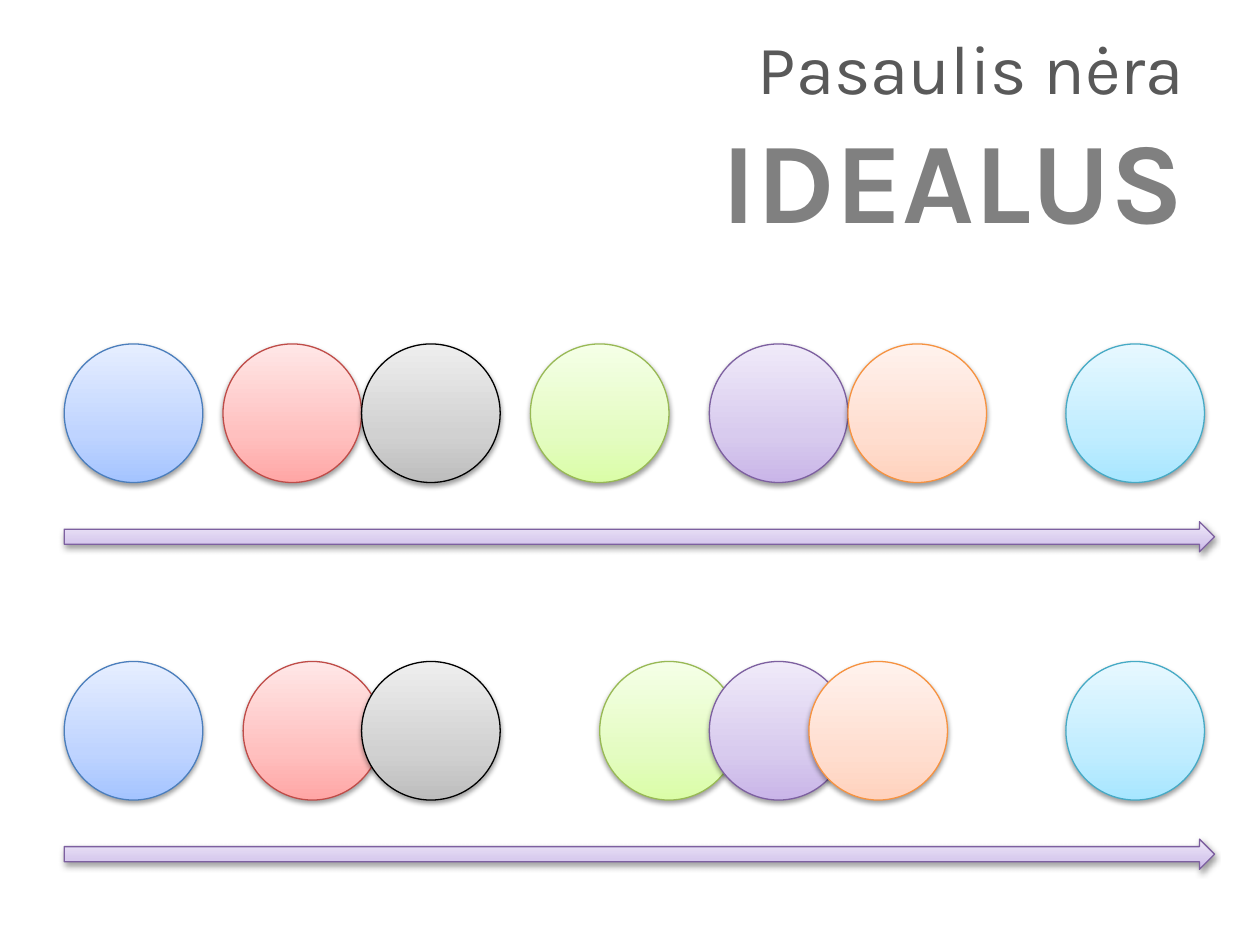
import copy

import pptx
import pptx.dml.color
import pptx.enum.shapes
import pptx.enum.text
import pptx.oxml
import pptx.oxml.ns
import pptx.util
from pptx.util import Inches

FONT = "Karla"
TEXT_COLORS = {"lead": "595959", "emphasis": "808080"}

# Per color: outline, then gradient from bottom to top
COLORS = {
    "blue": ("4B7EBC", "A4C4FF", "BFD4FF", "E6EEFF"),
    "red": ("BF4C48", "FFA6A5", "FFC0BF", "FFE7E7"),
    "black": ("000000", "BDBDBD", "D1D1D1", "EEEEEE"),
    "green": ("98B955", "DAFDA7", "E4FCC2", "F5FFE7"),
    "purple": ("7D60A0", "C9B5E8", "D8CBEE", "F0EAF9"),
    "orange": ("F69240", "FFD2BD", "FFDED0", "FFF2ED"),
    "cyan": ("46AAC5", "A7E6FF", "C1EDFF", "E7F8FF"),
}
GRADIENT_POSITIONS = (0, 0.35, 1)

LEFT = 0.51
DIAMETER = 1.1
ARROW_WIDTH, ARROW_HEIGHT = 9.13, 0.24
ARROW_DROP = 1.41  # from top of circles to top of arrow

# Top of each timeline and the left edges of its circles, in COLORS order
TIMELINES = (
    (2.73, (LEFT, 1.77, 2.87, 4.21, 5.63, 6.73, 8.46)),
    (5.25, (LEFT, 1.93, 2.87, 4.76, 5.63, 6.42, 8.46)),
)

SHADOW_XML = (
    '<a:outerShdw %s blurRad="39370" dist="20320" dir="5400000" rotWithShape="0">'
    '<a:srgbClr val="000000"><a:alpha val="38000"/></a:srgbClr></a:outerShdw>'
    % pptx.oxml.ns.nsdecls("a")
)


def rgb(value):
    return pptx.dml.color.RGBColor.from_string(value)


def fill_gradient(fill, stop_colors):
    fill.gradient()
    fill.gradient_angle = 90
    # The default gradient has two stops; add a third
    stop_list = fill._xPr.find(".//" + pptx.oxml.ns.qn("a:gsLst"))
    stop_list.append(copy.deepcopy(stop_list[-1]))
    for stop, position, color in zip(fill.gradient_stops, GRADIENT_POSITIONS, stop_colors):
        stop.position = position
        stop.color.rgb = rgb(color)


def add_glossy_shape(slide, kind, left, top, width, height, color):
    outline, *stop_colors = COLORS[color]
    shape = slide.shapes.add_shape(
        kind, Inches(left), Inches(top), Inches(width), Inches(height))
    fill_gradient(shape.fill, stop_colors)
    shape.line.color.rgb = rgb(outline)
    shape.line.width = pptx.util.Pt(0.75)
    # Soft shadow straight below
    shape.shadow.inherit = False
    effects = shape._element.spPr.find(pptx.oxml.ns.qn("a:effectLst"))
    effects.append(pptx.oxml.parse_xml(SHADOW_XML))


def set_title(slide):
    title = slide.shapes.title
    title.left, title.top = Inches(0.5), Inches(0.3)
    title.width, title.height = Inches(9), Inches(1.56)
    frame = title.text_frame
    frame.word_wrap = True
    frame.auto_size = pptx.enum.text.MSO_AUTO_SIZE.NONE
    frame.vertical_anchor = pptx.enum.text.MSO_ANCHOR.MIDDLE
    heading = frame.paragraphs[0]
    heading.text = "Pasaulis nėra\vIDEALUS"
    heading.alignment = pptx.enum.text.PP_ALIGN.RIGHT
    styles = ((39.6, "lead", False), (65.7, "emphasis", True))
    for run, (size, color, bold) in zip(heading.runs, styles):
        run.font.name = FONT
        run.font.size = pptx.util.Pt(size)
        run.font.bold = bold
        run.font.color.rgb = rgb(TEXT_COLORS[color])


def add_timeline(slide, top, circle_lefts):
    kinds = pptx.enum.shapes.MSO_SHAPE
    for color, left in zip(COLORS, circle_lefts):
        add_glossy_shape(slide, kinds.OVAL, left, top, DIAMETER, DIAMETER, color)
    add_glossy_shape(slide, kinds.RIGHT_ARROW, LEFT, top + ARROW_DROP,
                     ARROW_WIDTH, ARROW_HEIGHT, "purple")


def main():
    deck = pptx.Presentation()
    deck.slide_width, deck.slide_height = Inches(10), Inches(7.5)
    slide = deck.slides.add_slide(deck.slide_layouts.get_by_name("Title Only"))
    set_title(slide)
    for top, circle_lefts in TIMELINES:
        add_timeline(slide, top, circle_lefts)
    deck.save("out.pptx")


if __name__ == "__main__":
    main()
